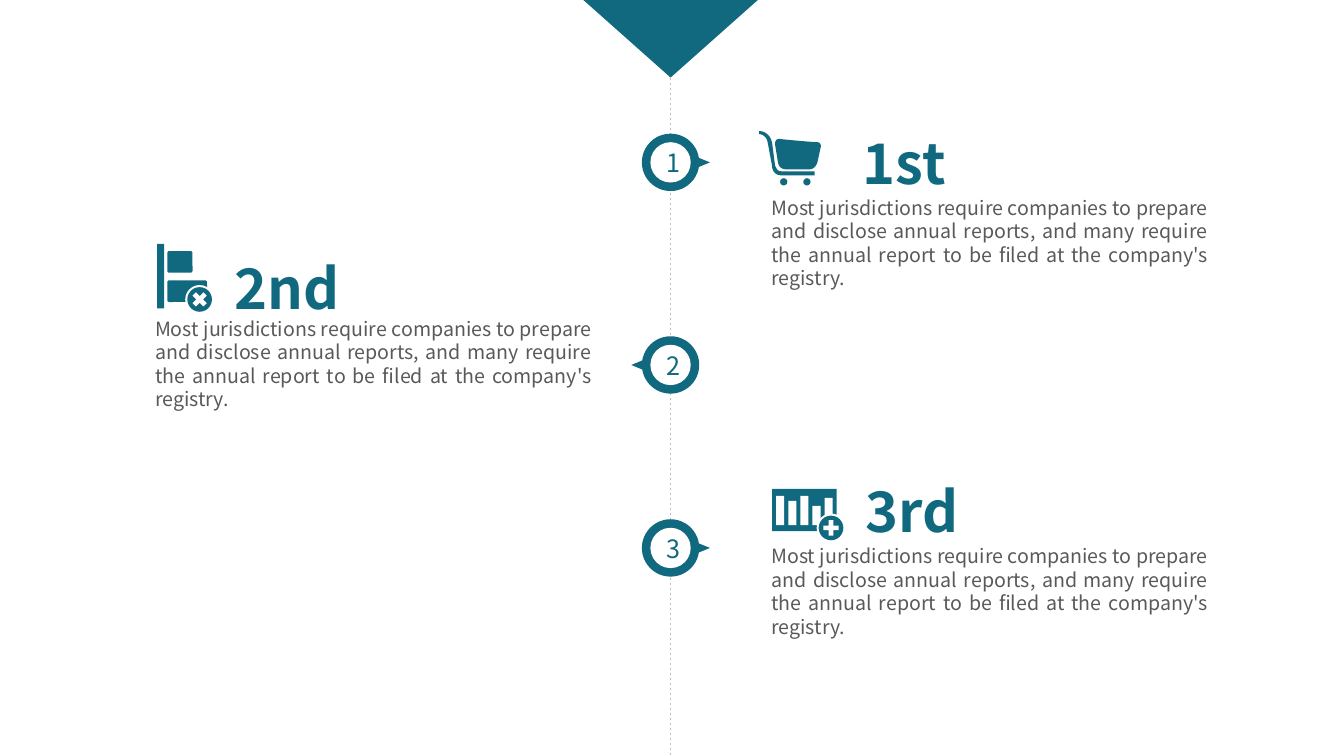
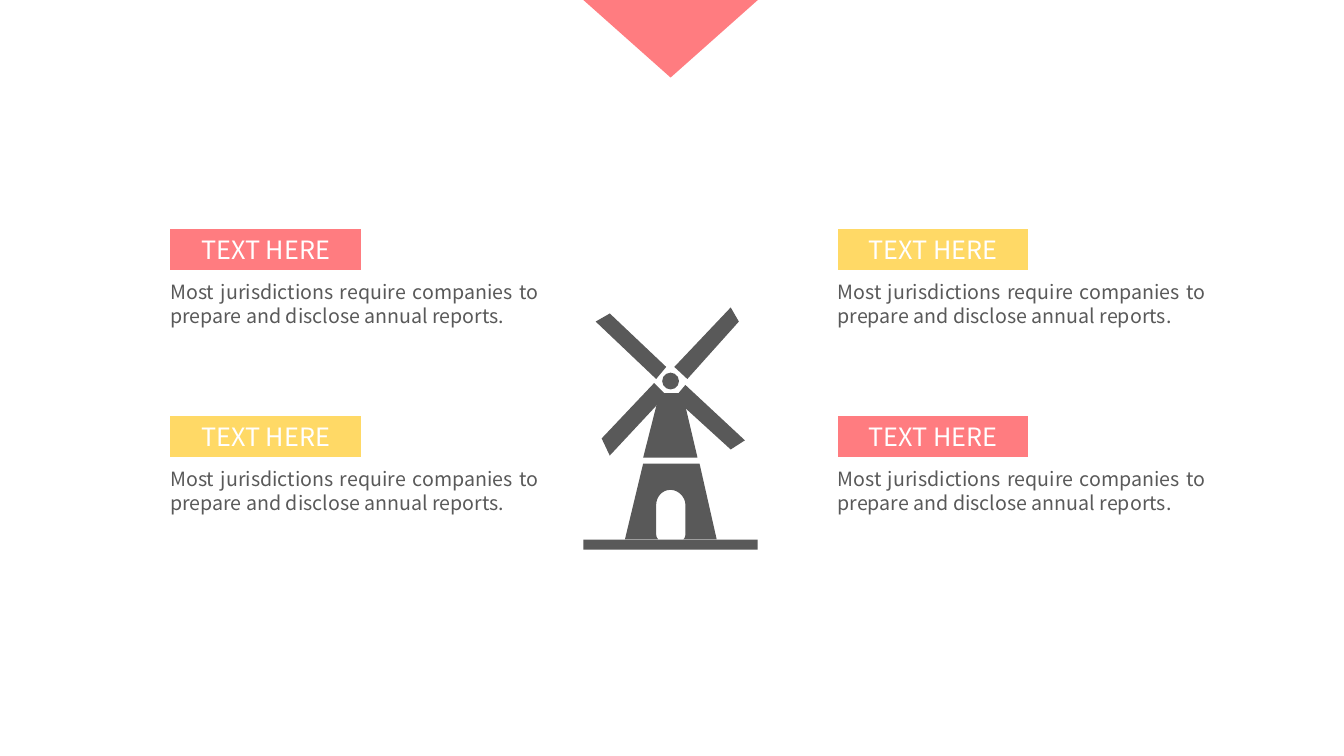
from pptx import Presentation
from pptx.dml.color import RGBColor
from pptx.enum.dml import MSO_LINE
from pptx.enum.shapes import MSO_CONNECTOR, MSO_SHAPE
from pptx.enum.text import MSO_ANCHOR, MSO_AUTO_SIZE, PP_ALIGN
from pptx.oxml import parse_xml
from pptx.util import Pt

TEAL = RGBColor(0x10, 0x69, 0x7E)
CORAL = RGBColor(0xFF, 0x7C, 0x80)
GOLD = RGBColor(0xFF, 0xD9, 0x66)
GRAY = RGBColor(0x59, 0x59, 0x59)
SILVER = RGBColor(0xBF, 0xBF, 0xBF)
WHITE = RGBColor(0xFF, 0xFF, 0xFF)

OVAL = MSO_SHAPE.OVAL
RECT = MSO_SHAPE.RECTANGLE
ROUND = MSO_SHAPE.ROUNDED_RECTANGLE
CROSS = MSO_SHAPE.CROSS
WEDGE = MSO_SHAPE.ISOSCELES_TRIANGLE
PROCESS = MSO_SHAPE.FLOWCHART_PROCESS
STRAIGHT = MSO_CONNECTOR.STRAIGHT
DASH = MSO_LINE.DASH
MIDDLE = MSO_ANCHOR.MIDDLE
FIT = MSO_AUTO_SIZE.SHAPE_TO_FIT_TEXT
LEFT, CENTER, JUSTIFY = PP_ALIGN.LEFT, PP_ALIGN.CENTER, PP_ALIGN.JUSTIFY

FONT = "Noto Sans CJK SC"
NO_GLOW = '<a:effectLst xmlns:a="http://schemas.openxmlformats.org/drawingml/2006/main"/>'
WIDTH, HEIGHT = 960, 540
AXIS = 479
BAND = 124.6

SHORT = "Most jurisdictions require companies to prepare and disclose annual reports"
LONG = SHORT + ", and many require the annual report to be filed at the company's registry."

HANDLE = [
    (553.7, 118.8), (551.5, 102.2), (550.1, 93.6, 542.2, 93.6, 542.2, 93.6),
    (542.2, 95.8), (542.2, 95.8, 547.9, 95.8, 548.6, 103), (551.5, 118.8),
    (551.5, 121, 553, 125.3, 558, 125.3), (581.8, 125.3), (581.8, 122.4),
    (558, 122.4), (554.4, 122.4, 554.4, 118.8, 553.7, 118.8),
]
BASKET = [
    (583.2, 101.5), (578.2, 101.5, 558, 99.4, 558, 99.4),
    (558, 99.4, 553, 97.9, 553.7, 103.7), (555.8, 116.6),
    (555.8, 116.6, 556.6, 121, 561.6, 121), (578.2, 121),
    (582.5, 121, 583.9, 115.9, 583.9, 115.9), (586.1, 105.8),
    (586.1, 105.8, 587.5, 101.5, 583.2, 101.5),
]
SAILS = [
    [(489.6, 275), (481.7, 284.4), (522, 321.1), (532.1, 314.6)],
    [(425.5, 229.7), (468.7, 270.7), (475.9, 262.1), (435.6, 223.9)],
    [(429.8, 313.2), (435.6, 325.4), (475.9, 282.2), (467.3, 273.6)],
    [(527.8, 229.7), (522, 219.6), (481.7, 262.1), (491, 270.7)],
]
CAP = [
    (488.2, 284.4), (486, 284.4), (486, 280.8), (471.6, 280.8),
    (471.6, 284.4), (470.2, 284.4), (459.4, 326.9), (498.2, 326.9),
]
TOWER = [
    (468.7, 379.4), (468.7, 360.7), (468.7, 355, 473, 349.9, 478.8, 349.9),
    (484.6, 349.9, 489.6, 355, 489.6, 360.7), (489.6, 379.4),
    (489.6, 382.3, 489.6, 383.8, 488.2, 385.2), (511.9, 385.2),
    (499.7, 331.2), (459.4, 331.2), (446.4, 385.2), (470.2, 385.2),
    (468.7, 383.8, 468.7, 382.3, 468.7, 379.4),
]


def paint(shape, color):
    """Give a shape a flat fill without line or shadow."""
    shape.shadow.inherit = False
    shape.fill.solid()
    shape.fill.fore_color.rgb = color
    shape.line.fill.background()
    return shape


def block(slide, kind, x, y, w, h, color, turn=0):
    """Add a flat preset shape."""
    shape = slide.shapes.add_shape(kind, Pt(x), Pt(y), Pt(w), Pt(h))
    shape.rotation = turn
    return paint(shape, color)


def disc(slide, x, y, radius, color):
    """Add a circle around a centre."""
    return block(slide, OVAL, x - radius, y - radius, 2 * radius, 2 * radius, color)


def flatten(nodes, steps=8):
    """Turn points and cubic curves into plain points."""
    points = []
    for node in nodes:
        if len(node) == 2:
            points.append(node)
            continue
        ax, ay = points[-1]
        bx, by, cx, cy, dx, dy = node
        for step in range(1, steps + 1):
            t = step / steps
            a, b, c, d = (1 - t) ** 3, 3 * t * (1 - t) ** 2, 3 * t * t * (1 - t), t ** 3
            points.append((a * ax + b * bx + c * cx + d * dx,
                           a * ay + b * by + c * cy + d * dy))
    return points


def outline(slide, nodes, color):
    """Add a closed free outline."""
    first, *rest = [(Pt(x), Pt(y)) for x, y in flatten(nodes)]
    pen = slide.shapes.build_freeform(*first)
    pen.add_line_segments(rest, close=True)
    return paint(pen.convert_to_shape(), color)


def write(shape, text, size, color, align, bold=False):
    """Set the text of a shape in one style."""
    shape.text_frame.text = text
    para = shape.text_frame.paragraphs[0]
    para.alignment = align
    font = para.runs[0].font
    font.name, font.size, font.bold = FONT, Pt(size), bold
    font.color.rgb = color


def label(slide, x, y, w, h, text, size, color, align=JUSTIFY, bold=False):
    """Add a text box."""
    box = slide.shapes.add_textbox(Pt(x), Pt(y), Pt(w), Pt(h))
    box.text_frame.word_wrap = True
    box.text_frame.auto_size = FIT
    write(box, text, size, color, align, bold)


def start(deck, color):
    """Add a blank slide with the top wedge."""
    slide = deck.slides.add_slide(deck.slide_layouts[6])
    block(slide, WEDGE, AXIS - BAND / 2, 0, BAND, 55.4, color, 180)
    return slide


def rule(slide):
    """Add the dashed time line."""
    line = slide.shapes.add_connector(STRAIGHT, Pt(AXIS), Pt(55.4), Pt(AXIS), Pt(HEIGHT))
    line.line.color.rgb = SILVER
    line.line.width = Pt(0.5)
    line.line.dash_style = DASH
    line._element.spPr.append(parse_xml(NO_GLOW))


def marker(slide, y, text, side):
    """Add a numbered ring that points to one side."""
    disc(slide, AXIS, y, 20.5, TEAL)
    block(slide, WEDGE, AXIS + side * 20.2 - 6.5, y - 7.9, 13, 15.8, TEAL, side * 90)
    core = disc(slide, AXIS, y, 14.4, WHITE)
    core.text_frame.vertical_anchor = MIDDLE
    write(core, text, 18, TEAL, CENTER)


def badge(slide, x, y, turn):
    """Add a round badge with a cross."""
    disc(slide, x, y, 10.3, WHITE)
    disc(slide, x, y, 8.8, TEAL)
    mark = block(slide, CROSS, x - 5.5, y - 5.5, 11, 11, WHITE, turn)
    mark.adjustments[0] = 0.35


def cart(slide):
    """Draw the cart icon."""
    for nodes in (HANDLE, BASKET):
        outline(slide, nodes, TEAL)
    for x in (559.8, 576.4):
        disc(slide, x, 129.9, 2.6, TEAL)


def blocks(slide):
    """Draw the icon of two bars on a stem."""
    block(slide, RECT, 112.3, 174.2, 5, 46.1, TEAL)
    for y, w in ((179.3, 18), (200.2, 28.4)):
        block(slide, ROUND, 119.5, y, w, 15.5, TEAL).adjustments[0] = 0.09
    badge(slide, 142.6, 213.9, 45)


def chart(slide):
    """Draw the icon of columns in a frame."""
    block(slide, RECT, 551.5, 349.2, 46.1, 30.2, TEAL)
    for i, top in enumerate((354.2, 357.8, 354.2, 361.4, 355.7)):
        block(slide, RECT, 554.4 + 8.64 * i, top, 5.8, 375.1 - top, WHITE)
    badge(slide, 593.6, 377.1, 0)


def mill(slide):
    """Draw the windmill."""
    for nodes in (*SAILS, CAP, TOWER):
        outline(slide, nodes, GRAY)
    disc(slide, AXIS, 272.2, 6, GRAY)
    block(slide, RECT, AXIS - BAND / 2, 385.4, BAND, 7.2, GRAY)


def steps(deck):
    """Build the time line slide."""
    slide = start(deck, TEAL)
    rule(slide)
    rows = (
        ("1", "1st", 116, 1, 609.1, 88.2, 543.9, 136.3, cart),
        ("2", "2nd", 260.7, -1, 160.6, 177.3, 103.7, 222.5, blocks),
        ("3", "3rd", 391.4, 1, 611.3, 337, 543.9, 385.2, chart),
    )
    for num, head, mid, side, hx, hy, x, y, icon in rows:
        marker(slide, mid, num, side)
        label(slide, hx, hy, 110, 55.4, head, 40, TEAL, LEFT, True)
        label(slide, x, y, 326.2, 74.9, LONG, 14, GRAY)
        icon(slide)


def topics(deck):
    """Build the windmill slide."""
    slide = start(deck, CORAL)
    mill(slide)
    for row, y in enumerate((163.4, 297)):
        for col, x in enumerate((121.7, 598.3)):
            color = (CORAL, GOLD)[(row + col) % 2]
            tag = block(slide, PROCESS, x, y, 136.1, 29.5, color)
            tag.text_frame.vertical_anchor = MIDDLE
            write(tag, "TEXT HERE", 18, WHITE, CENTER)
            label(slide, x - 7.2, y + 33.1, 277.2, 41, SHORT + ".", 14, GRAY)


def main():
    """Build and save the deck."""
    deck = Presentation()
    deck.slide_width, deck.slide_height = Pt(WIDTH), Pt(HEIGHT)
    steps(deck)
    topics(deck)
    deck.save("out.pptx")


if __name__ == "__main__":
    main()
